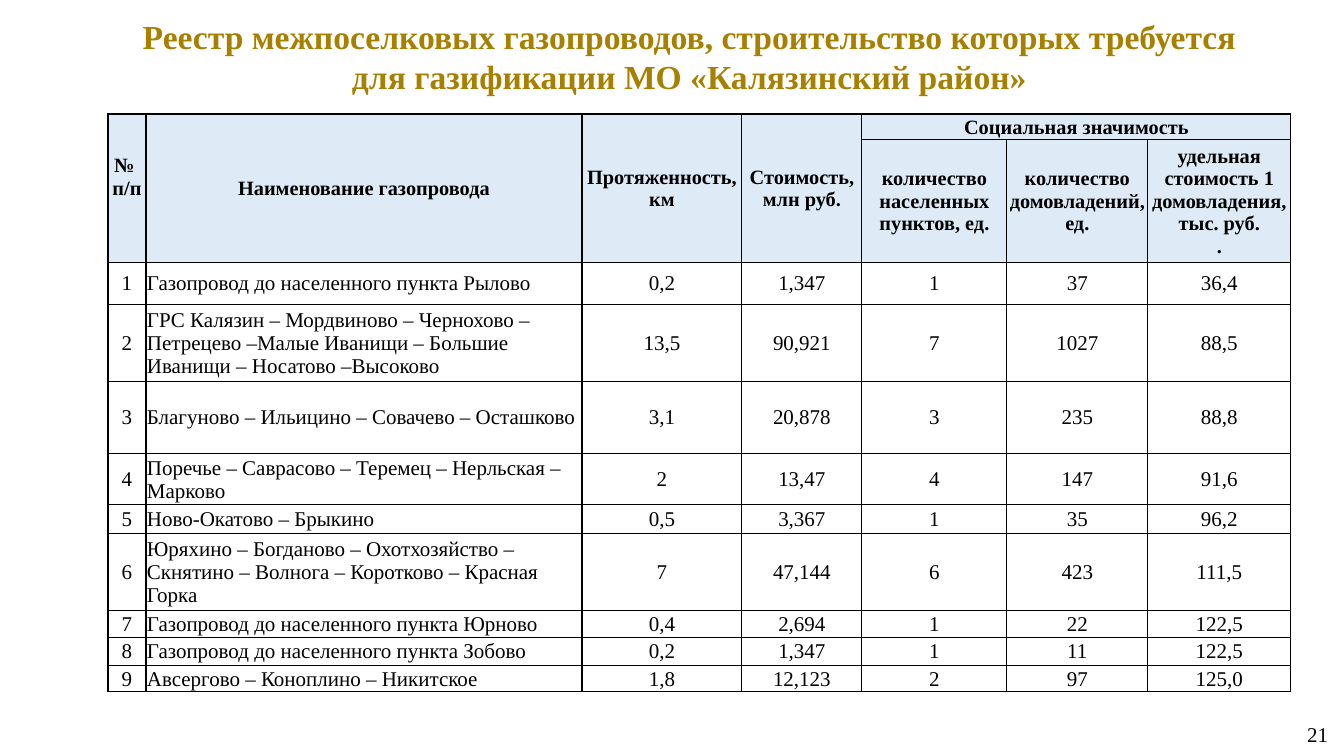
"""Build the register of inter-settlement gas pipelines slide."""
from lxml.etree import SubElement
from pptx import Presentation
from pptx.dml.color import RGBColor
from pptx.enum.text import MSO_ANCHOR, PP_ALIGN
from pptx.oxml.ns import qn
from pptx.util import Emu, Pt

GOLD = RGBColor(0xA8, 0x80, 0x00)
BLACK = RGBColor(0x00, 0x00, 0x00)
PALE_BLUE = RGBColor(0xDE, 0xEB, 0xF7)

COLUMN_WIDTHS = [38, 436, 160, 120, 145, 141, 143]
ROW_HEIGHTS = [25, 123, 42, 77, 72, 51, 29, 76, 27, 28, 26]
HEADER_ROWS = 2
NAME_COLUMN = 1
MERGES = [((0, column), (1, column)) for column in range(4)] + [((0, 4), (0, 6))]
ROWS = [
    ["№ \vп/п", "Наименование газопровода", "Протяженность, км",
     "Стоимость, млн руб.", "Социальная значимость", "", ""],
    ["", "", "", "", "количество населенных пунктов, ед.",
     "количество\nдомовладений, ед.",
     "удельная стоимость 1 домовладения, тыс. руб.\n."],
    ["1", "Газопровод до населенного пункта Рылово",
     "0,2", "1,347", "1", "37", "36,4"],
    ["2", "ГРС Калязин – Мордвиново – Чернохово – Петрецево –Малые Иванищи – "
     "Большие Иванищи – Носатово –Высоково",
     "13,5", "90,921", "7", "1027", "88,5"],
    ["3", "Благуново – Ильицино – Совачево – Осташково",
     "3,1", "20,878", "3", "235", "88,8"],
    ["4", "Поречье – Саврасово – Теремец – Нерльская – Марково",
     "2", "13,47", "4", "147", "91,6"],
    ["5", "Ново-Окатово – Брыкино", "0,5", "3,367", "1", "35", "96,2"],
    ["6", "Юряхино – Богданово – Охотхозяйство – Скнятино – Волнога – "
     "Коротково – Красная Горка",
     "7", "47,144", "6", "423", "111,5"],
    ["7", "Газопровод до населенного пункта Юрново",
     "0,4", "2,694", "1", "22", "122,5"],
    ["8", "Газопровод до населенного пункта Зобово",
     "0,2", "1,347", "1", "11", "122,5"],
    ["9", "Авсергово – Коноплино – Никитское",
     "1,8", "12,123", "2", "97", "125,0"],
]


def px(length):
    """Turn pixels into EMU."""
    return Emu(round(length * 914400 / 100.8))


class SlideBuilder:
    """Hold the style and the current slide."""

    font_name = "Times New Roman"

    def __init__(self, page):
        """Keep the slide to draw on."""
        self.page = page

    def add_text(self, frame, text, size, color, align, bold=False):
        """Fill a text frame, one paragraph per line."""
        for index, line in enumerate(text.split("\n")):
            para = frame.add_paragraph() if index else frame.paragraphs[0]
            para.alignment = align
            for part_index, part in enumerate(line.split("\v")):
                if part_index:
                    para.add_line_break()
                span = para.add_run()
                span.text = part
                span.font.name = self.font_name
                span.font.size = Pt(size)
                span.font.bold = bold
                span.font.color.rgb = color

    def text_box(self, place, text, size, color, align,
                 anchor=MSO_ANCHOR.TOP, bold=False):
        """Add a wrapping text box."""
        box = self.page.shapes.add_textbox(*map(px, place))
        box.text_frame.word_wrap = True
        box.text_frame.vertical_anchor = anchor
        self.add_text(box.text_frame, text, size, color, align, bold)

    def border(self, cell):
        """Draw thin lines on all four sides of a cell."""
        properties = cell._tc.get_or_add_tcPr()
        for side in ("lnL", "lnR", "lnT", "lnB"):
            line = SubElement(properties, qn(f"a:{side}"), w=str(Pt(1)))
            fill = SubElement(line, qn("a:solidFill"))
            SubElement(fill, qn("a:srgbClr"), val=str(BLACK))

    def cell(self, cell, text, header, align):
        """Style and fill one table cell."""
        cell.margin_left = cell.margin_right = cell.margin_top = px(1)
        cell.margin_bottom = 0
        cell.vertical_anchor = MSO_ANCHOR.MIDDLE
        self.border(cell)
        if header:
            cell.fill.solid()
            cell.fill.fore_color.rgb = PALE_BLUE
        else:
            cell.fill.background()
        if text:
            self.add_text(cell.text_frame, text, 14.5 if header else 15,
                          BLACK, align, header)

    def table(self, left, top, rows, widths, heights, merges):
        """Add the table with its merged header."""
        place = (left, top, sum(widths), sum(heights))
        table = self.page.shapes.add_table(
            len(rows), len(widths), *map(px, place)).table
        table.first_row = table.horz_banding = False
        for column, width in zip(table.columns, widths):
            column.width = px(width)
        for row, height in zip(table.rows, heights):
            row.height = px(height)
        for first, last in merges:
            table.cell(*first).merge(table.cell(*last))
        for row_index, row in enumerate(rows):
            header = row_index < HEADER_ROWS
            for column_index, text in enumerate(row):
                is_name = column_index == NAME_COLUMN and not header
                align = PP_ALIGN.LEFT if is_name else PP_ALIGN.CENTER
                self.cell(table.cell(row_index, column_index), text, header, align)
        return table


def main():
    """Build and save the deck."""
    deck = Presentation()
    deck.slide_width, deck.slide_height = px(1344), px(756)
    builder = SlideBuilder(deck.slides.add_slide(deck.slide_layouts[6]))
    builder.text_box((1065, 704, 273, 61), "21", 15, BLACK,
                     PP_ALIGN.RIGHT, MSO_ANCHOR.MIDDLE)
    builder.text_box(
        (101, 11, 1185, 92),
        "Реестр межпоселковых газопроводов, строительство которых требуется \n"
        "для газификации МО «Калязинский район» ",
        24, GOLD, PP_ALIGN.CENTER, bold=True)
    table = builder.table(108, 114, ROWS, COLUMN_WIDTHS, ROW_HEIGHTS, MERGES)
    table.cell(0, 0).margin_bottom = px(23)
    deck.save("out.pptx")


if __name__ == "__main__":
    main()
